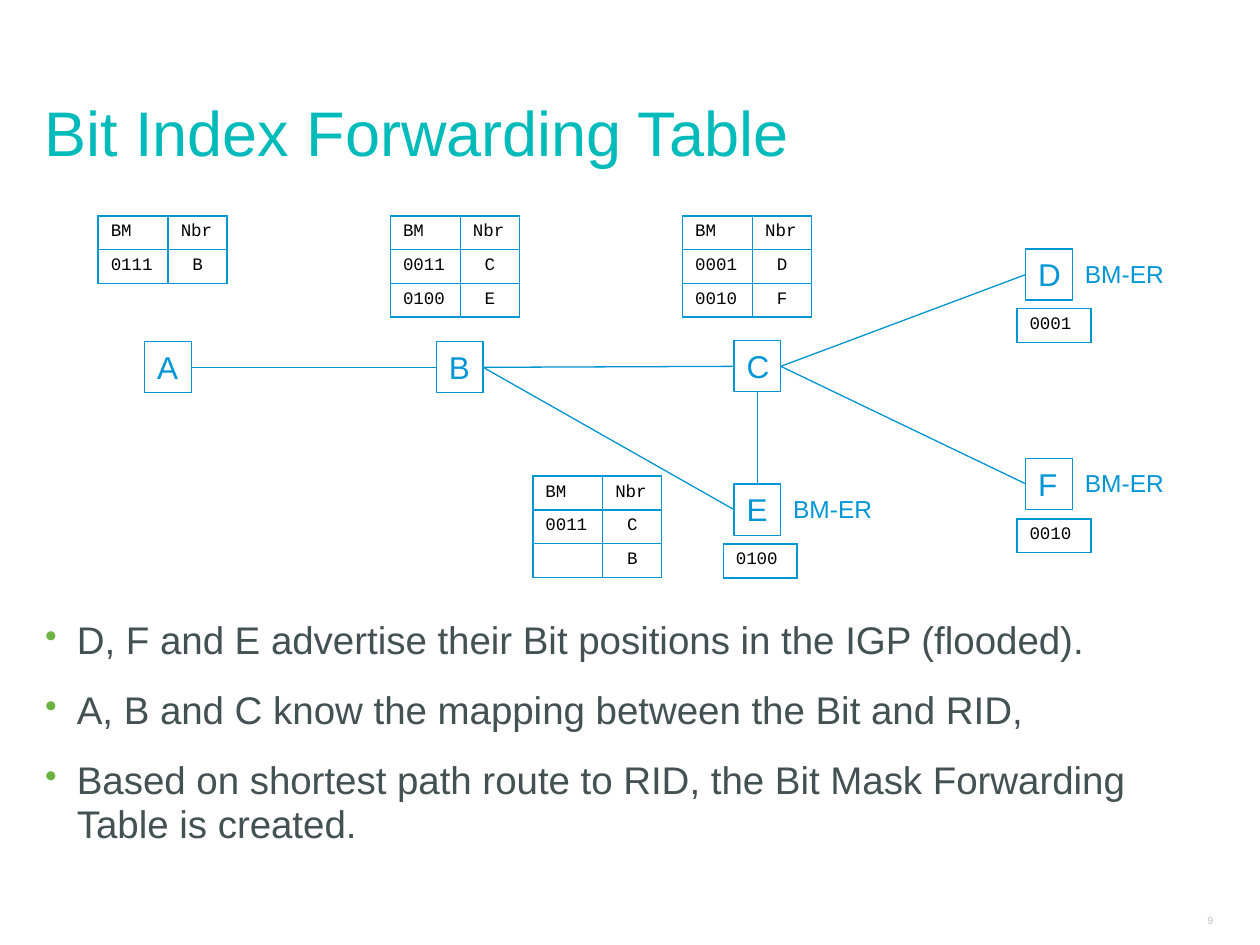
"""Build a slide that shows bit index forwarding tables on a small network."""
from lxml import etree
from pptx import Presentation
from pptx.dml.color import RGBColor
from pptx.enum.shapes import MSO_CONNECTOR, MSO_SHAPE
from pptx.enum.text import MSO_ANCHOR, MSO_AUTO_SIZE, PP_ALIGN
from pptx.oxml.ns import qn
from pptx.util import Cm, Pt

RECT = MSO_SHAPE.RECTANGLE
STRAIGHT = MSO_CONNECTOR.STRAIGHT
TOP, BOTTOM = MSO_ANCHOR.TOP, MSO_ANCHOR.BOTTOM
LEFT, CENTER, RIGHT = PP_ALIGN.LEFT, PP_ALIGN.CENTER, PP_ALIGN.RIGHT
FIXED = MSO_AUTO_SIZE.NONE

BLUE = RGBColor(0x00, 0x96, 0xD6)
LINK = RGBColor(0x00, 0x93, 0xD1)
TEAL = RGBColor(0x01, 0xBB, 0xBB)
SLATE = RGBColor(0x43, 0x51, 0x53)
GREEN = RGBColor(0x6D, 0xB3, 0x44)
SILVER = RGBColor(0xC0, 0xC0, 0xC0)
BLACK = RGBColor(0x00, 0x00, 0x00)
WHITE = RGBColor(0xFF, 0xFF, 0xFF)

SANS, MONO = "Arial", "Courier New"
NODE_W, NODE_H = 0.94, 1.03
ROW_H = 0.68
PAIR = (1.41, 1.19)
HEAD = ("BM", "Nbr")

NODES = {
    "A": (2.92, 6.89), "B": (8.8, 6.89), "C": (14.8, 6.87),
    "D": (20.68, 5.02), "E": (14.8, 9.76), "F": (20.68, 9.24),
}
SITE_TOP, SITE_LEFT, SITE_BOTTOM, SITE_RIGHT = range(4)
LINKS = [
    ("A", SITE_RIGHT, "B", SITE_LEFT),
    ("B", SITE_RIGHT, "C", SITE_LEFT),
    ("B", SITE_RIGHT, "E", SITE_LEFT),
    ("C", SITE_RIGHT, "D", SITE_LEFT),
    ("C", SITE_RIGHT, "F", SITE_LEFT),
    ("C", SITE_BOTTOM, "E", SITE_TOP),
]
ROUTES = [
    (1.98, 4.35, [("0111", "B")]),
    (7.87, 4.35, [("0011", "C"), ("0100", "E")]),
    (13.76, 4.35, [("0001", "D"), ("0010", "F")]),
    (10.74, 9.6, [("0011", "C"), ("", "B")]),
]
MASKS = [(20.5, 6.22, "0001"), (20.5, 10.46, "0010"), (14.58, 10.97, "0100")]
POINTS = [
    "D, F and E advertise their Bit positions in the IGP (flooded).",
    "A, B and C know the mapping between the Bit and RID,",
    "Based on shortest path route to RID, the Bit Mask Forwarding Table is created.",
]


def style(para, size, color, name=SANS, align=LEFT):
    para.font.size = Pt(size)
    para.font.name = name
    para.font.color.rgb = color
    para.alignment = align


def add_title(slide, text):
    title = slide.shapes.title
    title.left, title.top = Cm(0.64), Cm(1.19)
    title.width, title.height = Cm(23.85), Cm(2.34)
    frame = title.text_frame
    frame.text = text
    frame.auto_size = FIXED
    frame.vertical_anchor = BOTTOM
    para = frame.paragraphs[0]
    para.line_spacing = 0.8
    style(para, 36, TEAL)


def add_label(slide, x, y, w, h, text, size, color, align=LEFT):
    box = slide.shapes.add_textbox(Cm(x), Cm(y), Cm(w), Cm(h))
    box.text_frame.text = text
    style(box.text_frame.paragraphs[0], size, color, align=align)
    return box


def add_points(slide):
    box = slide.shapes.add_textbox(Cm(0.66), Cm(12.37), Cm(23.83), Cm(5.16))
    frame = box.text_frame
    frame.word_wrap = True
    frame.text = "\n".join(POINTS)
    for para in frame.paragraphs:
        para.line_spacing = 0.95
        para.space_before = Pt(14.8)
        style(para, 22, SLATE)
        props = para._p.get_or_add_pPr()
        props.set("marL", str(Cm(0.64)))
        props.set("indent", str(-Cm(0.64)))
        marks = [etree.Element(qn(tag)) for tag in ("a:buClr", "a:buSzPct", "a:buChar")]
        etree.SubElement(marks[0], qn("a:srgbClr"), val=str(GREEN))
        marks[1].set("val", "90000")
        marks[2].set("char", "•")
        spot = props.index(props.find(qn("a:defRPr")))
        props[spot:spot] = marks


def add_node(slide, name, x, y):
    node = slide.shapes.add_shape(RECT, Cm(x), Cm(y), Cm(NODE_W), Cm(NODE_H))
    node.shadow.inherit = False
    node.fill.background()
    node.line.color.rgb = BLUE
    node.line.width = Pt(0.75)
    node.text_frame.text = name
    node.text_frame.vertical_anchor = TOP
    style(node.text_frame.paragraphs[0], 18, BLUE)
    return node


def add_link(slide, start, out, end, into):
    link = slide.shapes.add_connector(STRAIGHT, 0, 0, 0, 0)
    link.begin_connect(start, out)
    link.end_connect(end, into)
    link.line.color.rgb = LINK
    link.line.width = Pt(0.75)
    etree.SubElement(link._element.spPr, qn("a:effectLst"))


def add_border(cell):
    props = cell._tc.get_or_add_tcPr()
    for spot, side in enumerate(("a:lnL", "a:lnR", "a:lnT", "a:lnB")):
        edge = etree.Element(qn(side), w=str(Pt(1)))
        fill = etree.SubElement(edge, qn("a:solidFill"))
        etree.SubElement(fill, qn("a:srgbClr"), val=str(BLUE))
        props.insert(spot, edge)


def add_grid(slide, x, y, widths, rows, fill=None):
    frame = slide.shapes.add_table(
        len(rows), len(widths), Cm(x), Cm(y), Cm(sum(widths)), Cm(ROW_H * len(rows)))
    table = frame.table
    table.first_row = table.horz_banding = False
    for col, width in zip(table.columns, widths):
        col.width = Cm(width)
    for r, row in enumerate(rows):
        table.rows[r].height = Cm(ROW_H)
        for c, text in enumerate(row):
            cell = table.cell(r, c)
            cell.text = text
            para = cell.text_frame.paragraphs[0]
            style(para, 10, BLACK, MONO, CENTER if r and c else LEFT)
            if not text:
                etree.SubElement(para._p, qn("a:endParaRPr"), sz="1000")
            if fill is None:
                cell.fill.background()
            else:
                cell.fill.solid()
                cell.fill.fore_color.rgb = fill
            add_border(cell)


def main():
    deck = Presentation()
    deck.slide_width, deck.slide_height = Cm(25.4), Cm(19.05)
    slide = deck.slides.add_slide(deck.slide_layouts[5])
    add_title(slide, "Bit Index Forwarding Table")
    add_points(slide)
    nodes = {name: add_node(slide, name, *spot) for name, spot in NODES.items()}
    for start, out, end, into in LINKS:
        add_link(slide, nodes[start], out, nodes[end], into)
    for x, y, rows in ROUTES:
        add_grid(slide, x, y, PAIR, [HEAD] + rows)
    for x, y, mask in MASKS:
        add_grid(slide, x, y, (1.49,), [(mask,)], WHITE)
    for name in "DFE":
        x, y = NODES[name]
        add_label(slide, x + NODE_W, y + 0.08, 2.11, 0.86, "BM-ER", 14, BLUE)
    page = add_label(slide, 24, 18.29, 0.71, 0.48, "9", 6, SILVER, RIGHT)
    page.text_frame.vertical_anchor = BOTTOM
    page.text_frame.margin_top = page.text_frame.margin_bottom = Cm(0.1)
    deck.save("out.pptx")


if __name__ == "__main__":
    main()
